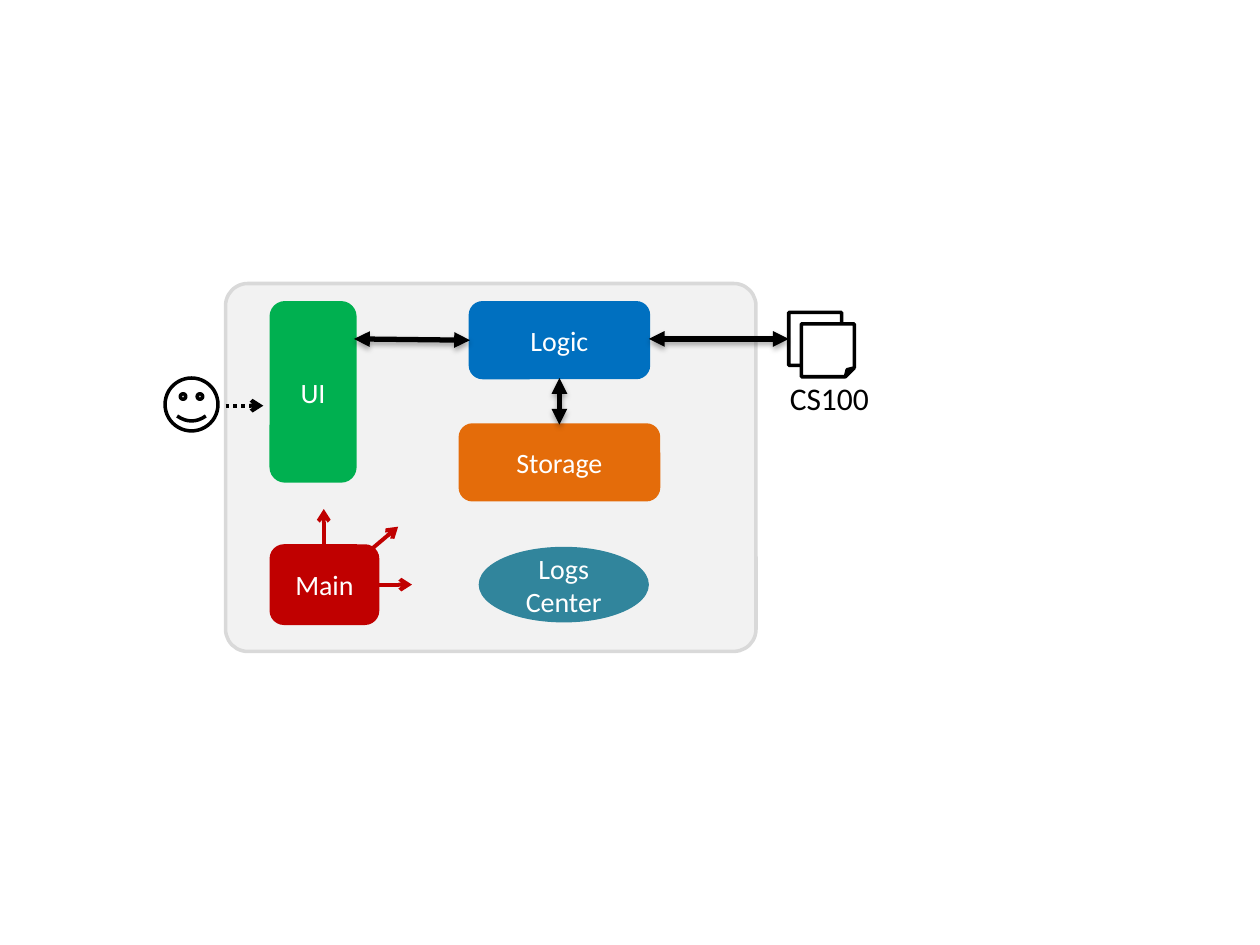
import pptx
import pptx.dml.color
import pptx.enum.dml
import pptx.enum.shapes
import pptx.enum.text
import pptx.oxml
import pptx.oxml.ns
import pptx.util

Inches = pptx.util.Inches
Pt = pptx.util.Pt
RGB = pptx.dml.color.RGBColor
KIND = pptx.enum.shapes.MSO_SHAPE
ALIGN = pptx.enum.text.PP_ALIGN

BLACK = RGB(0, 0, 0)
WHITE = RGB(255, 255, 255)
PALE = RGB(0xF2, 0xF2, 0xF2)
GRAY = RGB(0xD9, 0xD9, 0xD9)
GREEN = RGB(0x00, 0xB0, 0x50)
BLUE = RGB(0x00, 0x70, 0xC0)
ORANGE = RGB(0xE4, 0x6C, 0x0A)
RED = RGB(0xC0, 0x00, 0x00)
TEAL = RGB(0x31, 0x85, 0x9C)

SHADOW = (
    '<a:outerShdw blurRad="40000" dist="23000" dir="5400000" rotWithShape="0">'
    '<a:srgbClr val="000000"><a:alpha val="35000"/></a:srgbClr></a:outerShdw>'
)


class Diagram:
    """Holds the style and the current slide."""

    font = "Calibri"

    def __init__(self, deck):
        """Add a blank slide to the deck."""
        self.shapes = deck.slides.add_slide(deck.slide_layouts[6]).shapes

    def fill_text(self, frame, text, size, color, align):
        """Set one paragraph of styled text."""
        frame.text = text
        para = frame.paragraphs[0]
        para.alignment = align
        for run in para.runs:
            run.font.name = self.font
            run.font.size = Pt(size)
            run.font.color.rgb = color

    def shape(self, kind, box, fill, line, width=2):
        """Draw a filled preset shape."""
        item = self.shapes.add_shape(kind, *map(Inches, box))
        item.shadow.inherit = False
        item.fill.solid()
        item.fill.fore_color.rgb = fill
        item.line.color.rgb = line
        item.line.width = Pt(width)
        return item

    def block(self, text, box, color, kind=KIND.ROUNDED_RECTANGLE):
        """Draw a component with its centred name."""
        frame = self.shape(kind, box, color, color, 1.5).text_frame
        frame.word_wrap = True
        frame.vertical_anchor = pptx.enum.text.MSO_ANCHOR.MIDDLE
        self.fill_text(frame, text, 16, WHITE, ALIGN.CENTER)

    def label(self, text, box):
        """Add an unwrapped text box."""
        frame = self.shapes.add_textbox(*map(Inches, box)).text_frame
        frame.word_wrap = False
        frame.auto_size = pptx.enum.text.MSO_AUTO_SIZE.SHAPE_TO_FIT_TEXT
        self.fill_text(frame, text, 18, BLACK, ALIGN.LEFT)

    def arrow(self, start, end, color, width=2.25, both=False, dash=None):
        """Draw an open arrow, or a shadowed one with two solid heads."""
        link = self.shapes.add_connector(
            pptx.enum.shapes.MSO_CONNECTOR.STRAIGHT,
            *map(Inches, start + end))
        link.line.color.rgb = color
        link.line.width = Pt(width)
        if dash:
            link.line.dash_style = dash
        space = pptx.oxml.ns.nsdecls("a")
        tips = ("headEnd", "tailEnd") if both else ("tailEnd",)
        style = "triangle" if both else "arrow"
        props = link.element.spPr
        pen = props.find(pptx.oxml.ns.qn("a:ln"))
        for tip in tips:
            pen.append(pptx.oxml.parse_xml(
                f'<a:{tip} {space} type="{style}"/>'))
        glow = SHADOW if both else ""
        props.append(pptx.oxml.parse_xml(
            f"<a:effectLst {space}>{glow}</a:effectLst>"))


def build():
    """Build the architecture slide."""
    deck = pptx.Presentation()
    deck.slide_width = Inches(10)
    deck.slide_height = Inches(7.5)
    art = Diagram(deck)

    frame = art.shape(KIND.ROUNDED_RECTANGLE, (1.79, 2.25, 4.21, 2.92),
                      PALE, GRAY)
    frame.adjustments[0] = 0.06

    art.block("UI", (2.15, 2.4, 0.67, 1.42), GREEN)
    art.block("Logic", (3.73, 2.4, 1.42, 0.6), BLUE)
    art.block("Storage", (3.65, 3.37, 1.58, 0.6), ORANGE)

    art.shape(KIND.SMILEY_FACE, (1.31, 3, 0.42, 0.42), WHITE, BLACK)
    art.arrow((1.79, 3.22), (2.09, 3.22), BLACK,
              dash=pptx.enum.dml.MSO_LINE.ROUND_DOT)
    for left, top in ((6.26, 2.48), (6.36, 2.57)):
        art.shape(KIND.FOLDED_CORNER, (left, top, 0.42, 0.42), WHITE, BLACK)

    art.block("Main", (2.15, 4.33, 0.85, 0.62), RED)
    for start, end in (((3, 4.64), (3.27, 4.64)),
                       ((2.84, 4.45), (3.16, 4.18)),
                       ((2.57, 4.37), (2.57, 4.04))):
        art.arrow(start, end, RED)

    art.block("Logs\vCenter", (3.81, 4.35, 1.33, 0.58), TEAL, KIND.OVAL)
    art.label("CS100", (6.17, 2.96, 0.84, 0.4))
    for start, end in (((4.44, 3), (4.44, 3.37)),
                       ((5.15, 2.69), (6.26, 2.69)),
                       ((2.81, 2.69), (3.73, 2.7))):
        art.arrow(start, end, BLACK, 3, both=True)

    deck.save("out.pptx")


build()
